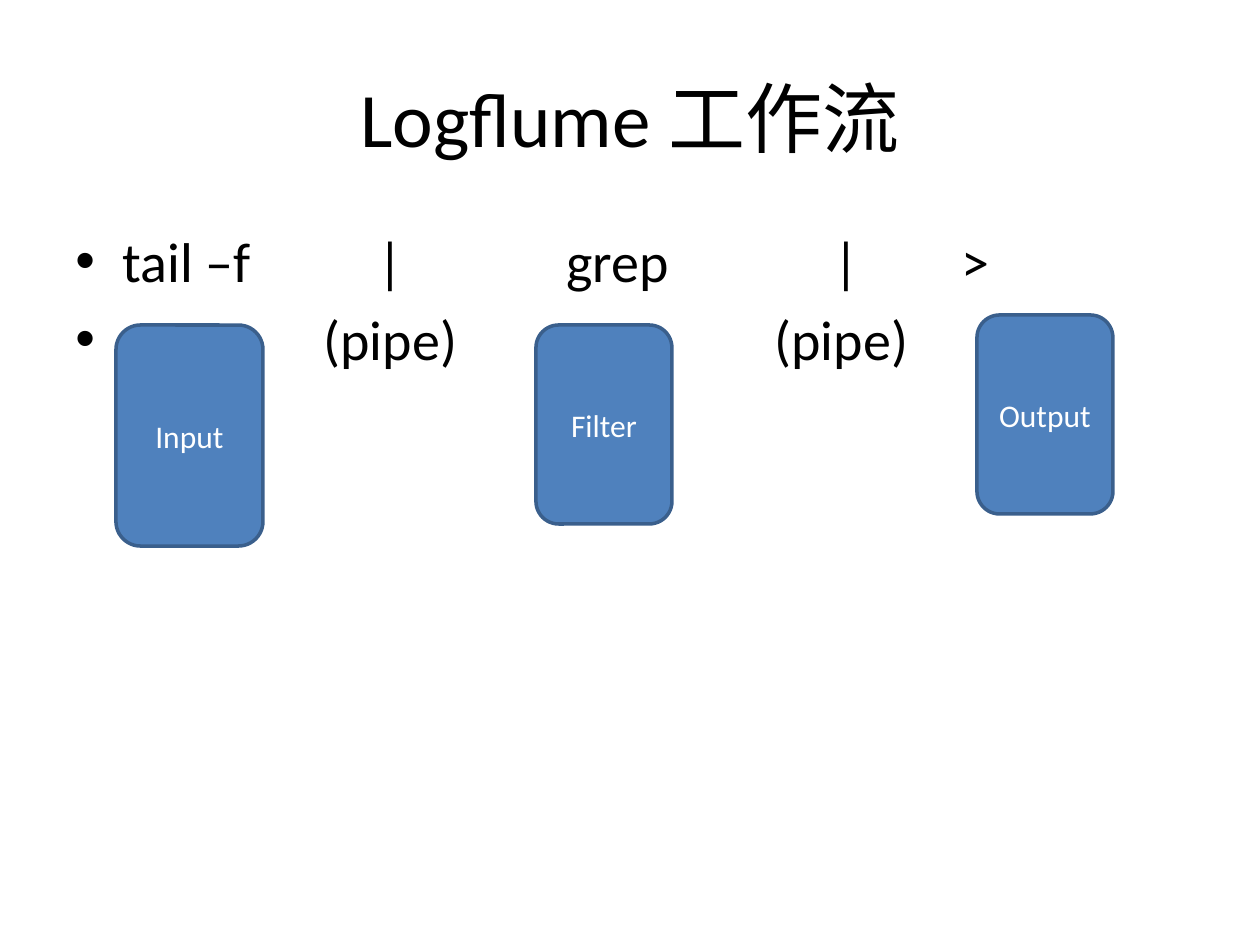
from lxml import etree
from pptx import Presentation
from pptx.dml.color import RGBColor
from pptx.enum.shapes import MSO_SHAPE
from pptx.enum.text import MSO_ANCHOR, PP_ALIGN
from pptx.oxml.ns import qn
from pptx.util import Pt

SCALE = 914400 / 126
BLACK = RGBColor(0, 0, 0)
WHITE = RGBColor(255, 255, 255)
BLUE = RGBColor(0x4F, 0x81, 0xBD)
NAVY = RGBColor(0x3A, 0x5F, 0x8C)
ROUND = MSO_SHAPE.ROUNDED_RECTANGLE
MIDDLE = MSO_ANCHOR.MIDDLE
CENTER = PP_ALIGN.CENTER
INDENT = 47
LINES = [
    ("tail –f\t|\tgrep\t|\t>", [315, 542, 771, 900]),
    ("\t(pipe)\t(pipe)", [315, 766]),
]
STAGES = [
    ("Input", (116, 325, 147, 221)),
    ("Output", (977, 315, 136, 199)),
    ("Filter", (536, 325, 136, 199)),
]


def px(num):
    """Turn px into EMU."""
    return round(num * SCALE)


def style(item, **vals):
    """Set each named value on the item."""
    for key, val in vals.items():
        setattr(item, key, val)


def write(para, text, size, color):
    """Add one run of text to a paragraph."""
    run = para.add_run()
    run.text = text
    style(run.font, name="Calibri", size=Pt(size))
    run.font.color.rgb = color


def frame(slide, box):
    """Add a wrapping text box and return its frame."""
    text = slide.shapes.add_textbox(*map(px, box)).text_frame
    text.word_wrap = True
    return text


def add_title(slide, box):
    """Place the centred title."""
    text = frame(slide, box)
    text.vertical_anchor = MIDDLE
    para = text.paragraphs[0]
    para.alignment = CENTER
    write(para, "Logflume 工作流", 44, BLACK)


def add_list(slide, box):
    """Place the bulleted lines with centred tab stops."""
    text = frame(slide, box)
    for num, (line, stops) in enumerate(LINES):
        para = text.add_paragraph() if num else text.paragraphs[0]
        para.space_before = Pt(6.4)
        write(para, line, 32, BLACK)
        props = para._p.get_or_add_pPr()
        props.set("marL", str(px(INDENT)))
        props.set("indent", str(-px(INDENT)))
        etree.SubElement(props, qn("a:buFont"), typeface="Arial")
        etree.SubElement(props, qn("a:buChar"), char="•")
        tabs = etree.SubElement(props, qn("a:tabLst"))
        for stop in stops:
            etree.SubElement(tabs, qn("a:tab"), pos=str(px(stop)), algn="ctr")


def add_stage(slide, name, box):
    """Place one rounded stage box with its name."""
    shape = slide.shapes.add_shape(ROUND, *map(px, box))
    shape.shadow.inherit = False
    shape.fill.solid()
    shape.fill.fore_color.rgb = BLUE
    shape.line.color.rgb = NAVY
    shape.line.width = Pt(2)
    style(shape.text_frame, vertical_anchor=MIDDLE, word_wrap=True)
    para = shape.text_frame.paragraphs[0]
    para.alignment = CENTER
    write(para, name, 18, WHITE)


def main():
    """Build and save the slide."""
    deck = Presentation()
    style(deck, slide_width=px(1260), slide_height=px(945))
    slide = deck.slides.add_slide(deck.slide_layouts[6])
    add_title(slide, (63, 38, 1134, 157))
    add_list(slide, (63, 220, 1134, 624))
    for name, box in STAGES:
        add_stage(slide, name, box)
    deck.save("out.pptx")


if __name__ == "__main__":
    main()
